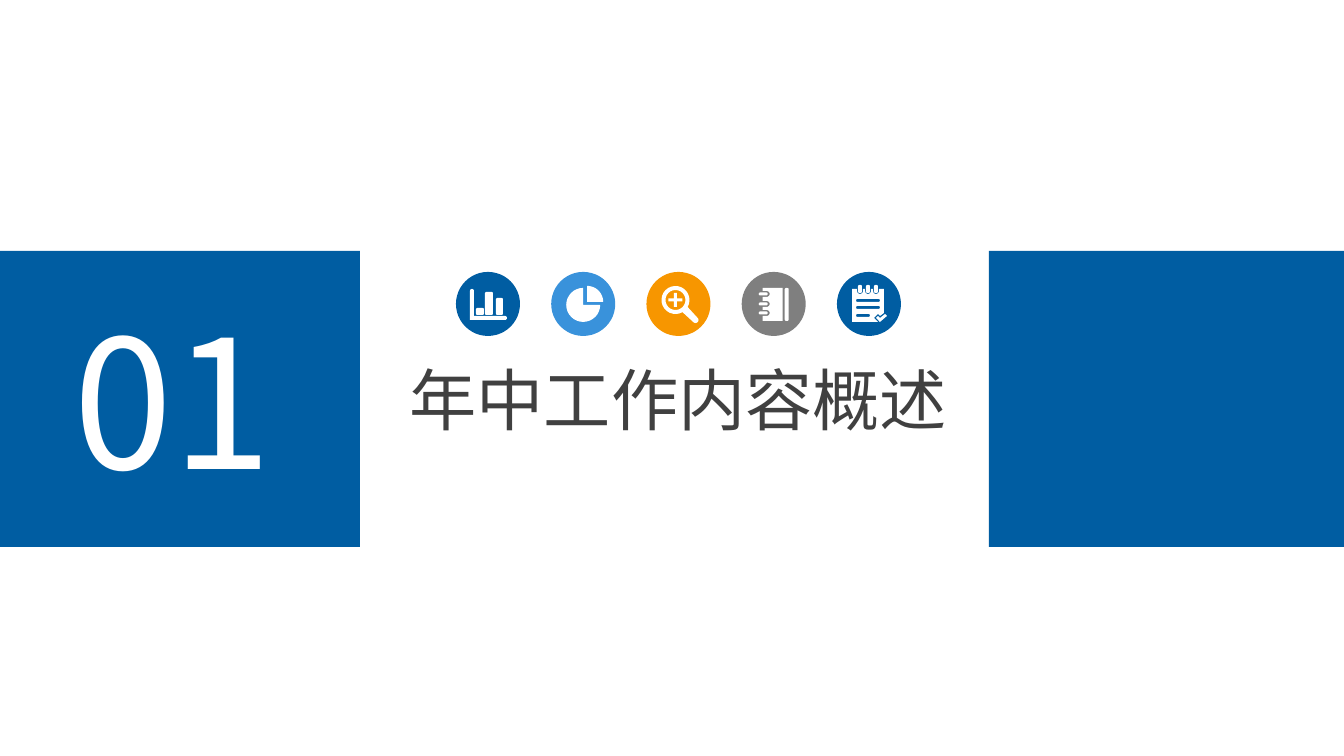
from math import cos, radians, sin

from pptx import Presentation
from pptx.dml.color import RGBColor
from pptx.enum.shapes import MSO_SHAPE
from pptx.enum.text import MSO_ANCHOR, MSO_AUTO_SIZE, PP_ALIGN
from pptx.util import Emu, Pt

RECTANGLE, OVAL = MSO_SHAPE.RECTANGLE, MSO_SHAPE.OVAL
TOP, LEFT = MSO_ANCHOR.TOP, PP_ALIGN.LEFT
NO_AUTOFIT = MSO_AUTO_SIZE.NONE
TITLE_ONLY = 5
EMU_PER_PIXEL = 914400 / 134.4
FONT = "Noto Sans CJK SC"
COLORS = {"blue": "005DA2", "sky": "3992DB", "orange": "F79600",
          "gray": "7F7F7F", "white": "FFFFFF", "text": "404040"}
FRAME_FORMAT = {"word_wrap": False, "auto_size": NO_AUTOFIT, "vertical_anchor": TOP}


def px(value):
    return Emu(round(value * EMU_PER_PIXEL))


def color(name):
    return RGBColor.from_string(COLORS[name])


def paint(shape, fill):
    shape.shadow.inherit = False
    shape.fill.solid()
    shape.fill.fore_color.rgb = color(fill)
    shape.line.fill.background()


def add_filled(shapes, kind, box, fill):
    shape = shapes.add_shape(kind, *map(px, box))
    paint(shape, fill)


def write(shape, box, text, size, fill):
    shape.left, shape.top, shape.width, shape.height = map(px, box)
    frame = shape.text_frame
    for name, value in FRAME_FORMAT.items():
        setattr(frame, name, value)
    frame.text = text
    paragraph = frame.paragraphs[0]
    paragraph.alignment = LEFT
    font = paragraph.runs[0].font
    for name, value in {"name": FONT, "size": Pt(size), "bold": False}.items():
        setattr(font, name, value)
    font.color.rgb = color(fill)


# Outlines, in pixels from the corner of the icon's disc
def arc(x, y, radius, start=0, end=360, steps=24):
    angles = [radians(start + (end - start) * i / steps) for i in range(steps + 1)]
    return [(x + radius * cos(a), y + radius * sin(a)) for a in angles]


def bar(left, top, right, bottom, radius=1.5):
    corners = [(right - radius, bottom - radius, 0), (left + radius, bottom - radius, 90),
               (left + radius, top + radius, 180), (right - radius, top + radius, 270)]
    return [point for x, y, start in corners
            for point in arc(x, y, radius, start, start + 90, 4)]


def bar_chart():
    axes = arc(16, 19, 2, 180, 360, 8) + [(18, 44)] + arc(49, 46, 2, -90, 90, 8) + [(14, 48)]
    return [axes, bar(20, 36, 28, 43), bar(29, 20, 37, 43), bar(40, 26, 47, 43)]


def pie_chart():
    return [[(36, 30)] + arc(36, 30, 16, 270, 360), [(32, 33)] + arc(32, 33, 17, 0, 270)]


def magnifier():
    x, y = 29, 28
    handle = arc(49, 48, 3, -45, 135, 8)
    plus = [(-1, -7), (1, -7), (1, -1), (7, -1), (7, 1), (1, 1),
            (1, 7), (-1, 7), (-1, 1), (-7, 1), (-7, -1), (-1, -1)]
    cross = [(x + dx * (1.5 if abs(dx) == 1 else 1), y + dy * (1.5 if abs(dy) == 1 else 1))
             for dx, dy in plus]
    return [arc(x, y, 14, 60, 390) + handle, arc(x, y, 10), cross]


def notebook():
    rings = (41, 32, 22)
    page = [(21, 16), (41, 16), (41, 49), (21, 49)]
    for y in rings:
        page += [(21, y + 3), *arc(25, y, 3, 90, -90, 8), (21, y - 3)]
    return [page, bar(43, 16, 47, 49)] + [bar(17, y - 1.5, 26, y + 1.5) for y in rings]


def checklist():
    rings = (23, 31, 39)
    page = [(15, 17)]
    for x in rings:
        page += [(x - 3, 17), *arc(x, 19, 3, 180, 0, 8), (x + 3, 17)]
    page += [(47, 17), (47, 41), (43, 44), (41, 42), (37, 46), (41, 50), (15, 50)]
    check = [(39, 46), (41, 44), (43, 46), (48, 42), (50, 44), (43, 50)]
    lines = [bar(19, y, right, y + 3) for y, right in ((27, 43), (34, 43), (42, 33))]
    return [page, check, *lines] + [bar(x - 2, 13, x + 2, 21) for x in rings]


ICONS = [("blue", bar_chart), ("sky", pie_chart), ("orange", magnifier),
         ("gray", notebook), ("blue", checklist)]


def add_icon(slide, box, disc_color, outlines):
    left, top = box[:2]
    shapes = slide.shapes.add_group_shape().shapes
    add_filled(shapes, OVAL, box, disc_color)
    builder = None
    for outline in outlines:
        points = [(px(left + x), px(top + y)) for x, y in outline]
        if builder is None:
            builder = shapes.build_freeform(*points[0])
        else:
            builder.move_to(*points[0])
        builder.add_line_segments(points[1:], close=True)
    paint(builder.convert_to_shape(), "white")


def add_icon_row(slide, box):
    left, top, width, size = box
    pitch = (width - size) / (len(ICONS) - 1)
    for index, (disc_color, outlines) in enumerate(ICONS):
        add_icon(slide, (left + index * pitch, top, size, size), disc_color, outlines())


def add_section_band(slide, box, number, title):
    left, top, width, height = box
    # Side panels and section number
    for panel_left in (left, left + width - 360):
        add_filled(slide.shapes, RECTANGLE, (panel_left, top, 360, height), "blue")
    number_box = slide.shapes.add_textbox(0, 0, 0, 0)
    write(number_box, (left + 60, top + 33, 239, 231), number, 96, "white")
    # Title under the icons
    write(slide.shapes.title, (left + 396, top + 101, 565, 95), title, 36, "text")
    add_icon_row(slide, (left + 456, top + 21, 445, 64))


presentation = Presentation()
presentation.slide_width, presentation.slide_height = px(1344), px(756)
section_slide = presentation.slides.add_slide(presentation.slide_layouts[TITLE_ONLY])
add_section_band(section_slide, (0, 251, 1349, 296), "01", "年中工作内容概述")
presentation.save("out.pptx")
